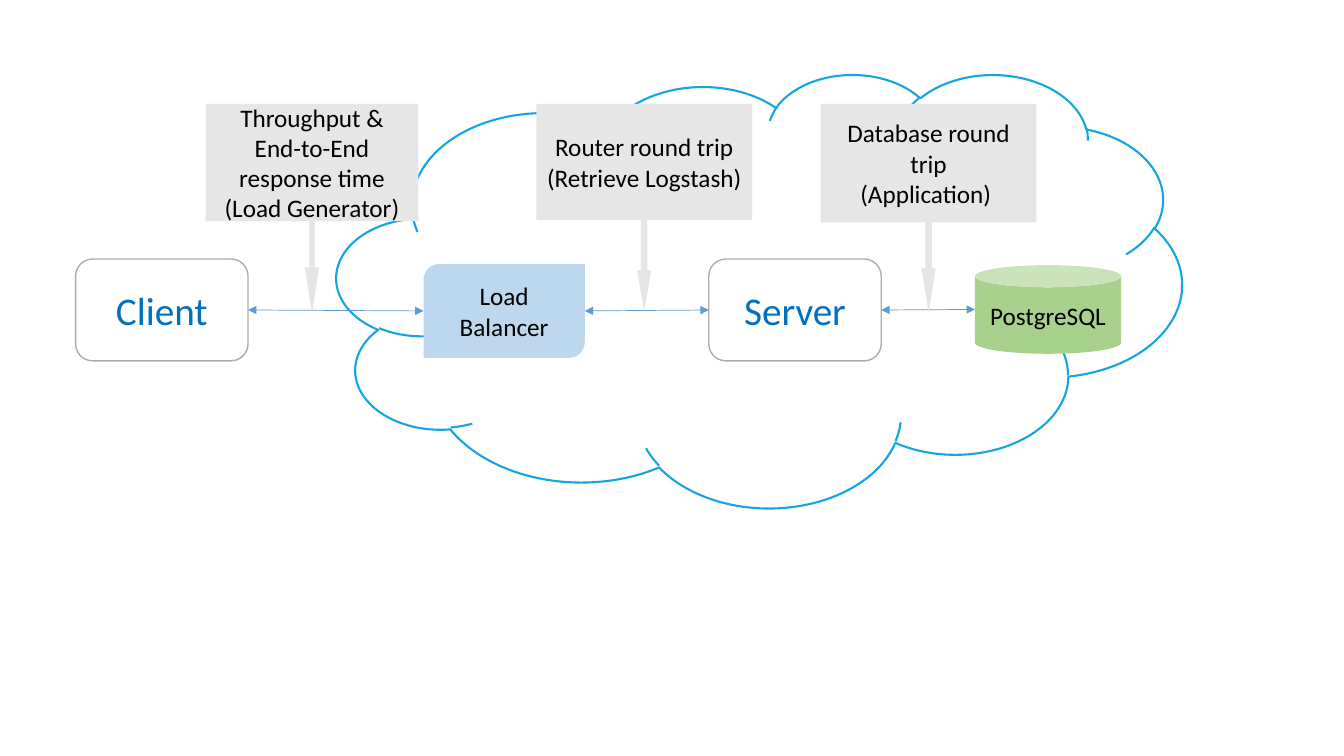
from itertools import pairwise

from lxml.etree import SubElement
from pptx import Presentation
from pptx.dml.color import RGBColor
from pptx.enum.shapes import MSO_CONNECTOR, MSO_SHAPE
from pptx.enum.text import MSO_ANCHOR, PP_ALIGN
from pptx.oxml.ns import qn
from pptx.util import Inches, Pt

# Content: positions and sizes are percentages of the slide's width and height
COLORS = {
    "cloud": "15A5E0", "frame": "AFABAB", "endpoint": "0070C0",
    "balancer": "BDD7EE", "database": "A9D18E", "callout": "E7E6E6",
    "link": "5B9BD5", "text": "000000",
}
CLOUD = (25.06, 9.73, 62.87, 57.33)
ENDPOINT = {"kind": MSO_SHAPE.ROUNDED_RECTANGLE, "line": ("frame", 1),
            "color": "endpoint", "size": 28}
NODES = [  # in the order the request travels
    {"lines": ["Client"], "box": (5.63, 34.27, 12.83, 13.47), **ENDPOINT},
    {"lines": ["Load Balancer"], "box": (31.51, 34.93, 12, 12.4),
     "kind": MSO_SHAPE.ROUND_2_DIAG_RECTANGLE, "fill": "balancer"},
    {"lines": ["Server"], "box": (52.74, 34.27, 12.83, 13.47), **ENDPOINT},
    {"lines": ["PostgreSQL"], "box": (72.54, 35.07, 10.88, 11.73),
     "kind": MSO_SHAPE.CAN, "fill": "database"},
]
CALLOUT_TOP = 13.73
CALLOUTS = [  # lines, left, width, height, arrow adjustments
    (["Throughput & End-to-End response time", "(Load Generator)"],
     15.3, 15.83, 27.73, (0.025, 0.034, 0.22, 0.559)),
    (["Router round trip", "(Retrieve Logstash)"],
     39.91, 16.05, 27.47, (0.031, 0.034, 0.199, 0.56)),
    (["Database round trip", "(Application) "],
     61.07, 16.05, 27.6, (0.031, 0.034, 0.212, 0.568)),
]

presentation = Presentation()
presentation.slide_width = Inches(13.33)
presentation.slide_height = Inches(7.5)
slide = presentation.slides.add_slide(presentation.slide_layouts[6])


def across(share):
    return round(presentation.slide_width * share / 100)


def down(share):
    return round(presentation.slide_height * share / 100)


def rgb(name):
    return RGBColor.from_string(COLORS[name])


def add_box(kind, box, lines=(), fill=None, line=None, color="text", size=18):
    left, top, width, height = box
    shape = slide.shapes.add_shape(
        kind, across(left), down(top), across(width), down(height))
    shape.shadow.inherit = False
    if fill:
        shape.fill.solid()
        shape.fill.fore_color.rgb = rgb(fill)
    else:
        shape.fill.background()
    if line:
        shape.line.color.rgb = rgb(line[0])
        shape.line.width = Pt(line[1])
    else:
        shape.line.fill.background()
    frame = shape.text_frame
    frame.word_wrap = True
    frame.vertical_anchor = MSO_ANCHOR.MIDDLE
    for index, text in enumerate(lines):
        paragraph = frame.add_paragraph() if index else frame.paragraphs[0]
        paragraph.alignment = PP_ALIGN.CENTER
        run = paragraph.add_run()
        run.text = text
        run.font.name = "Calibri"
        run.font.size = Pt(size)
        run.font.color.rgb = rgb(color)
    return shape


def add_link(start, end):
    connector = slide.shapes.add_connector(
        MSO_CONNECTOR.STRAIGHT,
        start.left + start.width, start.top + start.height // 2,
        end.left, end.top + end.height // 2)
    connector.line.color.rgb = rgb("link")
    connector.line.width = Pt(0.5)
    outline = connector.line._get_or_add_ln()
    for tag in ("a:headEnd", "a:tailEnd"):
        SubElement(outline, qn(tag), type="triangle")
    SubElement(connector._element.spPr, qn("a:effectLst"))


# Cloud behind the server side
add_box(MSO_SHAPE.CLOUD, CLOUD, line=("cloud", 1.5))

# Request chain
node_shapes = [add_box(**node) for node in NODES]
for start, end in pairwise(node_shapes):
    add_link(start, end)

# Measurement callouts pointing at the links
for lines, left, width, height, adjustments in CALLOUTS:
    callout = add_box(MSO_SHAPE.DOWN_ARROW_CALLOUT,
                      (left, CALLOUT_TOP, width, height), lines, fill="callout")
    for index, value in enumerate(adjustments):
        callout.adjustments[index] = value

presentation.save("out.pptx")
